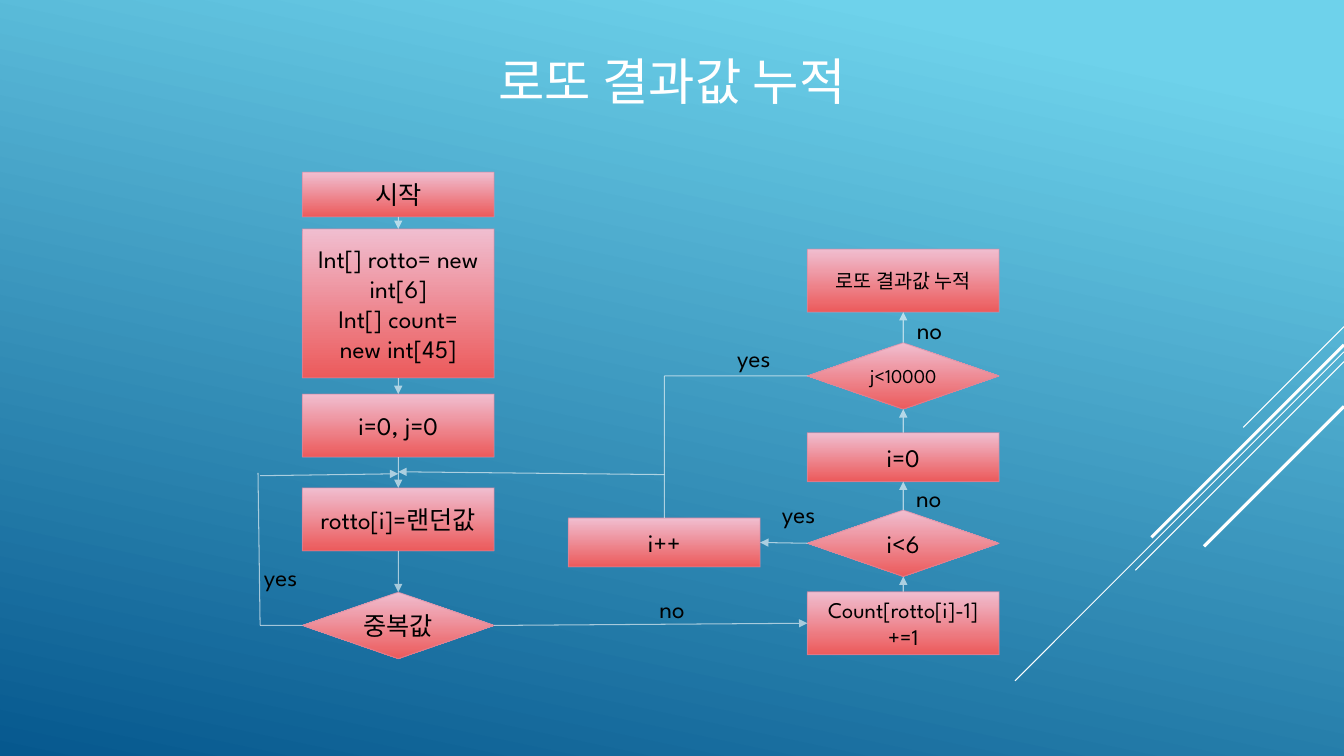
import lxml.etree
import pptx
import pptx.dml.color
import pptx.enum.shapes
import pptx.enum.text
import pptx.oxml.ns
import pptx.util

Pt = pptx.util.Pt
RGB = pptx.dml.color.RGBColor
qn = pptx.oxml.ns.qn
SHAPE = pptx.enum.shapes.MSO_SHAPE

SKY, NAVY = RGB(0x6E, 0xD2, 0xEB), RGB(0x06, 0x58, 0x8E)
PINK, CORAL = RGB(0xF0, 0xBE, 0xD0), RGB(0xEC, 0x5A, 0x5B)
EDGE = RGB(0xD6, 0x8B, 0xA6)
WHITE, BLACK = RGB(0xFF, 0xFF, 0xFF), RGB(0x00, 0x00, 0x00)
FONT = "League Spartan"
TOP, LEFT, BOTTOM, RIGHT = range(4)


def fill_gradient(fill, first, last, start, angle):
    fill.gradient()
    # python-pptx counts gradient angles anticlockwise
    fill.gradient_angle = 360 - angle
    for stop, color, position in zip(fill.gradient_stops, (first, last), (start, 1)):
        stop.color.rgb = color
        stop.position = position


def set_line(sp, color, width, opacity=100):
    sp.line.color.rgb = color
    sp.line.width = Pt(width)
    if opacity < 100:
        clr = sp._element.spPr.find(qn("a:ln")).find(".//" + qn("a:srgbClr"))
        lxml.etree.SubElement(clr, qn("a:alpha"), val=str(opacity * 1000))


def write(tf, lines, size, color):
    tf.word_wrap = True
    tf.vertical_anchor = pptx.enum.text.MSO_ANCHOR.MIDDLE
    for i, line in enumerate(lines):
        p = tf.add_paragraph() if i else tf.paragraphs[0]
        p.alignment = pptx.enum.text.PP_ALIGN.CENTER
        r = p.add_run()
        r.text = line
        r.font.name = FONT
        r.font.size = Pt(size)
        r.font.color.rgb = color


def add_line(s, start, end, width=0.75, opacity=100, arrow=False):
    c = s.shapes.add_connector(
        pptx.enum.shapes.MSO_CONNECTOR.STRAIGHT, *map(Pt, start + end))
    set_line(c, WHITE, width, opacity)
    spPr = c._element.spPr
    if arrow:
        lxml.etree.SubElement(spPr.find(qn("a:ln")), qn("a:tailEnd"), type="triangle")
    lxml.etree.SubElement(spPr, qn("a:effectLst"))
    return c


def add_rays(s, x, y, w, h):
    # Diagonals at 45 degrees from the right edge: offset, run, line width
    for offset, run, width in ((0, 72, 0.75), (18, w, 0.75), (25, 149, 0.75),
                               (13, 137.5, 2.25), (57, 100, 2.25)):
        add_line(s, (x + w, y + offset), (x + w - run, y + offset + run), width)


def add_title(s, x, y, w, h):
    sp = s.shapes.title
    sp.left, sp.top, sp.width, sp.height = map(Pt, (x, y, w, h))
    write(sp.text_frame, ["로또 결과값 누적"], 36, WHITE)


def add_flowchart(s, x, y, w, h):
    node_w = 137
    left, middle, right = 32, 222, w - node_w

    # Steps and decisions: name, kind, left, top, height, size, lines
    nodes = {}
    for name, kind, nx, ny, nh, size, lines in (
        ("start", SHAPE.RECTANGLE, left, 0, 32, 18, ["시작"]),
        ("declare", SHAPE.RECTANGLE, left, 40.5, 106.5, 18,
         ["Int[] rotto= new int[6]", "Int[] count=", "new int[45]"]),
        ("init", SHAPE.RECTANGLE, left, 158.5, 45, 18, ["i=0, j=0"]),
        ("random", SHAPE.RECTANGLE, left, 225.5, 45, 18, ["rotto[i]=랜던값"]),
        ("duplicate", SHAPE.DIAMOND, left, 300, 47.5, 18, ["중복값"]),
        ("next", SHAPE.RECTANGLE, middle, 247, 35, 18, ["i++"]),
        ("count", SHAPE.RECTANGLE, right, 299.7, 45, 16, ["Count[rotto[i]-1]", "+=1"]),
        ("six", SHAPE.DIAMOND, right, 241.3, 47.5, 18, ["i<6"]),
        ("reset", SHAPE.RECTANGLE, right, 186, 35, 18, ["i=0"]),
        ("rounds", SHAPE.DIAMOND, right, 121.8, 47.5, 14, ["j<10000"]),
        ("result", SHAPE.RECTANGLE, right, 55, 45, 14, ["로또 결과값 누적"]),
    ):
        sp = s.shapes.add_shape(kind, Pt(x + nx), Pt(y + ny), Pt(node_w), Pt(nh))
        sp.shadow.inherit = False
        fill_gradient(sp.fill, PINK, CORAL, 0, 90)
        set_line(sp, EDGE, 0.75, 60)
        write(sp.text_frame, lines, size, BLACK)
        nodes[name] = sp

    # Arrows from node to node
    for a, a_side, b, b_side in (
        ("start", BOTTOM, "declare", TOP), ("declare", BOTTOM, "init", TOP),
        ("init", BOTTOM, "random", TOP), ("random", BOTTOM, "duplicate", TOP),
        ("duplicate", RIGHT, "count", LEFT), ("count", TOP, "six", BOTTOM),
        ("six", LEFT, "next", RIGHT), ("six", TOP, "reset", BOTTOM),
        ("reset", TOP, "rounds", BOTTOM), ("rounds", TOP, "result", BOTTOM),
    ):
        c = add_line(s, (x, y), (x, y), opacity=60, arrow=True)
        c.begin_connect(nodes[a], a_side)
        c.end_connect(nodes[b], b_side)

    # Loops back to the random draw: start node and side, start, end, arrow
    mid, join = middle + node_w / 2, left + node_w / 2
    for node, side, start, end, arrow in (
        ("duplicate", LEFT, (left, 323.75), (1.8, 323.75), False),
        (None, None, (1.8, 323.75), (0.3, 214.7), False),
        (None, None, (1.8, 216.8), (join, 215.4), True),
        ("rounds", LEFT, (right, 145.55), (mid, 145.55), False),
        ("next", TOP, (mid, 247), (mid, 145.55), False),
        (None, None, (mid, 216), (join, 214), True),
    ):
        c = add_line(s, (x + start[0], y + start[1]), (x + end[0], y + end[1]),
                     opacity=60, arrow=arrow)
        if node:
            c.begin_connect(nodes[node], side)

    # Branch labels, placed by their centres
    label_w, label_h = 46, 24
    for text, cx, cy in (("yes", 16.5, 288.5), ("no", 296, 311.5),
                         ("yes", 386.5, 244), ("yes", 354.5, 132),
                         ("no", 480, 112.5), ("no", 479.5, 232)):
        sp = s.shapes.add_textbox(Pt(x + cx - label_w / 2), Pt(y + cy - label_h / 2),
                                  Pt(label_w), Pt(label_h))
        tf = sp.text_frame
        tf.margin_left = tf.margin_right = tf.margin_top = tf.margin_bottom = 0
        write(tf, [text], 18, BLACK)


def main():
    prs = pptx.Presentation()
    prs.slide_width, prs.slide_height = Pt(960), Pt(540)
    s = prs.slides.add_slide(prs.slide_layouts[5])
    fill_gradient(s.background.fill, SKY, NAVY, 0.1, 102)
    add_rays(s, 725, 233.3, 235, 253)
    add_title(s, 66, 29, 828, 57)
    add_flowchart(s, 184, 123, 529.7, 348)
    prs.save("out.pptx")


if __name__ == "__main__":
    main()
